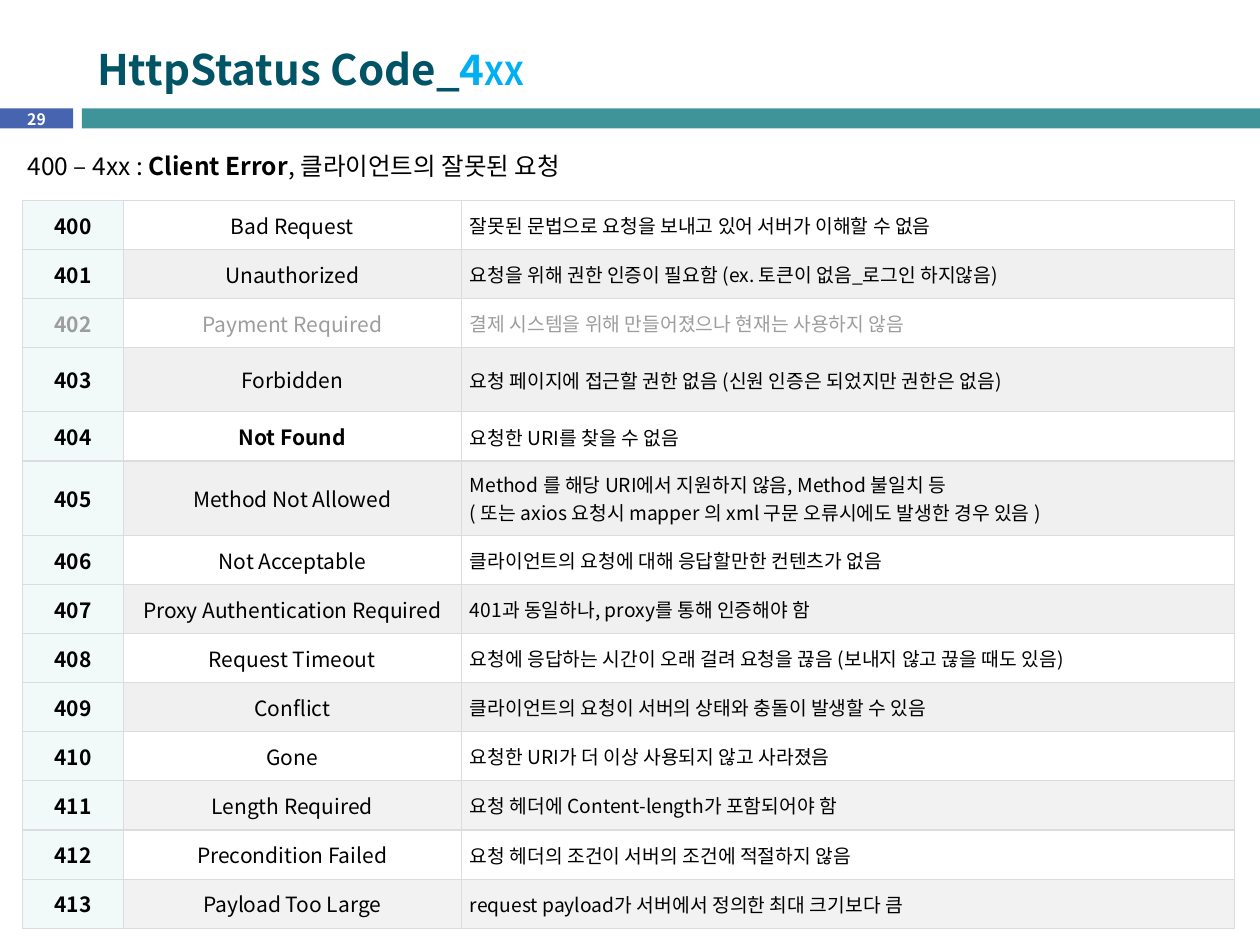
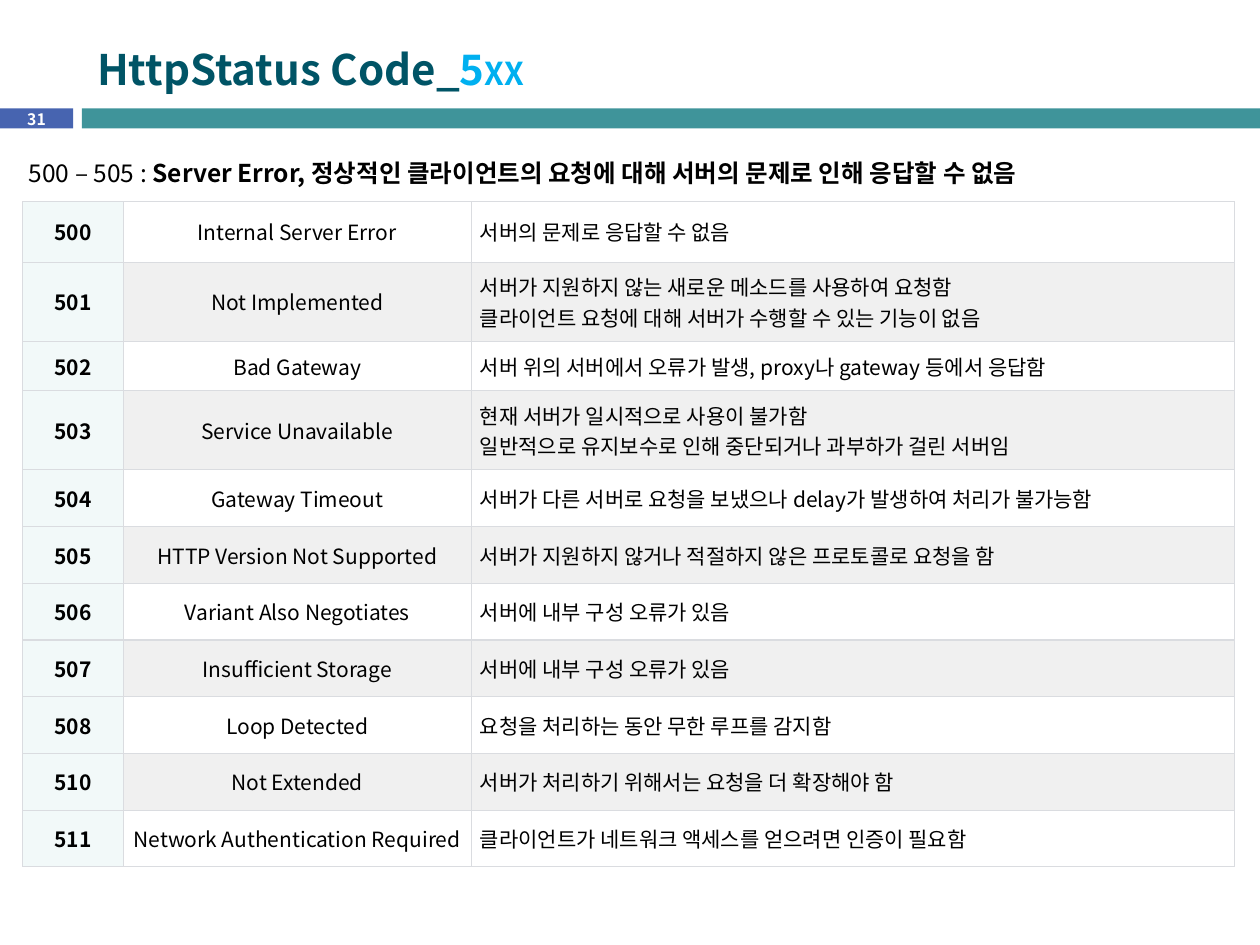
from lxml import etree
from pptx import Presentation
from pptx import util as u
from pptx.dml.color import RGBColor
from pptx.enum import shapes, text
from pptx.oxml import ns

COLORS = {
    "white": "FFFFFF", "ink": "000000", "muted": "9D9D9D",
    "title": "005466", "accent": "00B0F0",
    "number_band": "4764B0", "title_band": "3F949A",
    "code": "D5ECEE", "shade": "F0F0F0", "light_shade": "F2F2F2", "border": "DADCE0",
}
FONT = "Noto Sans CJK KR"
NUMBER_FONT = "Noto Sans CJK JP"
TABLE_LEFT, TABLE_WIDTH, CODE_WIDTH = 0.18, 9.62, 0.8
CELL_MARGIN = 0.07
CODE_OPACITY = 30

SLIDES = [
    {
        "number": "29", "family": "4",
        "summary": [("400 – 4xx : ", False), ("Client Error", True),
                    (", 클라이언트의 잘못된 요청", False)],
        "summary_at": (0.12, 1.15, 8.82, 0.34), "summary_spacing": None,
        "table_top": 1.59, "name_width": 2.68, "meaning_size": 11,
        "row_height": 0.39, "tall_rows": {"403": 0.51, "405": 0.59},
        "muted": {"402"}, "bold_names": {"404"}, "light_rows": {"411", "413"},
        "rows": [
            ("400", "Bad Request", "잘못된 문법으로 요청을 보내고 있어 서버가 이해할 수 없음"),
            ("401", "Unauthorized", "요청을 위해 권한 인증이 필요함 (ex. 토큰이 없음_로그인 하지않음)"),
            ("402", "Payment Required", "결제 시스템을 위해 만들어졌으나 현재는 사용하지 않음"),
            ("403", "Forbidden", "요청 페이지에 접근할 권한 없음 (신원 인증은 되었지만 권한은 없음)"),
            ("404", "Not Found", "요청한 URI를 찾을 수 없음"),
            ("405", "Method Not Allowed",
             "Method 를 해당 URI에서 지원하지 않음, Method 불일치 등\n"
             "( 또는 axios 요청시 mapper 의 xml 구문 오류시에도 발생한 경우 있음 )"),
            ("406", "Not Acceptable", "클라이언트의 요청에 대해 응답할만한 컨텐츠가 없음"),
            ("407", "Proxy Authentication Required", "401과 동일하나, proxy를 통해 인증해야 함"),
            ("408", "Request Timeout",
             "요청에 응답하는 시간이 오래 걸려 요청을 끊음 (보내지 않고 끊을 때도 있음)"),
            ("409", "Conflict", "클라이언트의 요청이 서버의 상태와 충돌이 발생할 수 있음"),
            ("410", "Gone", "요청한 URI가 더 이상 사용되지 않고 사라졌음"),
            ("411", "Length Required", "요청 헤더에 Content-length가 포함되어야 함"),
            ("412", "Precondition Failed", "요청 헤더의 조건이 서버의 조건에 적절하지 않음"),
            ("413", "Payload Too Large", "request payload가 서버에서 정의한 최대 크기보다 큼"),
        ],
    },
    {
        "number": "31", "family": "5",
        "summary": [("500 – 505 : ", False),
                    ("Server Error, 정상적인 클라이언트의 요청에 대해 "
                     "서버의 문제로 인해 응답할 수 없음", True)],
        "summary_at": (0.13, 1.19, 8.86, 0.35), "summary_spacing": 18,
        "table_top": 1.6, "name_width": 2.76, "meaning_size": 12,
        "row_height": 0.45, "tall_rows": {"500": 0.48, "501": 0.63, "502": 0.39, "503": 0.63},
        "muted": set(), "bold_names": set(), "light_rows": set(),
        "rows": [
            ("500", "Internal Server Error", "서버의 문제로 응답할 수 없음"),
            ("501", "Not Implemented",
             "서버가 지원하지 않는 새로운 메소드를 사용하여 요청함\n"
             "클라이언트 요청에 대해 서버가 수행할 수 있는 기능이 없음"),
            ("502", "Bad Gateway", "서버 위의 서버에서 오류가 발생, proxy나 gateway 등에서 응답함"),
            ("503", "Service Unavailable",
             "현재 서버가 일시적으로 사용이 불가함\n"
             "일반적으로 유지보수로 인해 중단되거나 과부하가 걸린 서버임"),
            ("504", "Gateway Timeout", "서버가 다른 서버로 요청을 보냈으나 delay가 발생하여 처리가 불가능함"),
            ("505", "HTTP Version Not Supported", "서버가 지원하지 않거나 적절하지 않은 프로토콜로 요청을 함"),
            ("506", "Variant Also Negotiates", "서버에 내부 구성 오류가 있음"),
            ("507", "Insufficient Storage", "서버에 내부 구성 오류가 있음"),
            ("508", "Loop Detected", "요청을 처리하는 동안 무한 루프를 감지함"),
            ("510", "Not Extended", "서버가 처리하기 위해서는 요청을 더 확장해야 함"),
            ("511", "Network Authentication Required", "클라이언트가 네트워크 액세스를 얻으려면 인증이 필요함"),
        ],
    },
]


def rgb(name):
    return RGBColor.from_string(COLORS[name])


def inches(*lengths):
    return [u.Inches(length) for length in lengths]


def format_run(span, size, color="ink", bold=False, font=FONT):
    span.font.size = u.Pt(size)
    span.font.bold = bold
    span.font.color.rgb = rgb(color)
    span.font.name = font
    east_asian = etree.SubElement(span.font._element, ns.qn("a:ea"))
    east_asian.set("typeface", font)


def add_run(para, words, *style):
    span = para.add_run()
    span.text = words
    format_run(span, *style)


def add_band(slide, left, width, color):
    band = slide.shapes.add_shape(
        shapes.MSO_SHAPE.RECTANGLE, *inches(left, 0.86, width, 0.16))
    band.shadow.inherit = False
    band.fill.solid()
    band.fill.fore_color.rgb = rgb(color)
    band.line.fill.background()


def add_header(slide, number, family):
    add_band(slide, 0, 0.58, "number_band")
    add_band(slide, 0.65, 9.35, "title_band")

    box = slide.shapes.add_textbox(*inches(0, 0.88, 0.58, 0.14))
    frame = box.text_frame
    frame.margin_left = frame.margin_right = frame.margin_top = frame.margin_bottom = 0
    frame.word_wrap = True
    frame.vertical_anchor = text.MSO_ANCHOR.MIDDLE
    para = frame.paragraphs[0]
    para.alignment = text.PP_ALIGN.CENTER
    add_run(para, number, 9, "white", True, NUMBER_FONT)

    title = slide.shapes.title
    title.left, title.top, title.width, title.height = inches(0.67, 0.25, 8.92, 0.59)
    title.text_frame.auto_size = text.MSO_AUTO_SIZE.NONE
    title.text_frame.vertical_anchor = text.MSO_ANCHOR.MIDDLE
    para = title.text_frame.paragraphs[0]
    para.alignment = text.PP_ALIGN.LEFT
    add_run(para, "HttpStatus Code_", 24, "title", True)
    add_run(para, family, 24, "accent", True)
    add_run(para, "XX", 18, "accent", True)


def add_summary(slide, parts, place, spacing):
    box = slide.shapes.add_textbox(*inches(*place))
    box.text_frame.word_wrap = True
    para = box.text_frame.paragraphs[0]
    if spacing:
        para.line_spacing = u.Pt(spacing)
    for words, bold in parts:
        add_run(para, words, 14, "ink", bold)


def add_borders(cell):
    properties = cell._tc.get_or_add_tcPr()
    for side in ("a:lnL", "a:lnR", "a:lnT", "a:lnB"):
        line = etree.SubElement(properties, ns.qn(side), w=str(u.Pt(0.75)))
        fill = etree.SubElement(line, ns.qn("a:solidFill"))
        etree.SubElement(fill, ns.qn("a:srgbClr"), val=COLORS["border"])


def fill_cell(cell, words, size, color, bold, centered, background, opacity=100):
    cell.margin_left = cell.margin_right = u.Inches(CELL_MARGIN)
    cell.margin_top = cell.margin_bottom = u.Inches(CELL_MARGIN)
    cell.vertical_anchor = text.MSO_ANCHOR.MIDDLE
    add_borders(cell)
    cell.fill.solid()
    cell.fill.fore_color.rgb = rgb(background)
    if opacity < 100:
        tint = cell._tc.tcPr.find(ns.qn("a:solidFill"))[0]
        etree.SubElement(tint, ns.qn("a:alpha"), val=str(opacity * 1000))
    para = cell.text_frame.paragraphs[0]
    para.text = words
    para.alignment = text.PP_ALIGN.CENTER if centered else text.PP_ALIGN.LEFT
    for span in para.runs:
        format_run(span, size, color, bold)


def add_status_table(slide, content):
    rows = content["rows"]
    heights = [content["tall_rows"].get(row[0], content["row_height"]) for row in rows]
    widths = [CODE_WIDTH, content["name_width"],
              TABLE_WIDTH - CODE_WIDTH - content["name_width"]]
    table = slide.shapes.add_table(
        len(rows), len(widths),
        *inches(TABLE_LEFT, content["table_top"], TABLE_WIDTH, sum(heights))).table
    table.first_row = table.horz_banding = False
    for column, width in zip(table.columns, widths):
        column.width = u.Inches(width)
    for index, (code, name, meaning) in enumerate(rows):
        table.rows[index].height = u.Inches(heights[index])
        color = "muted" if code in content["muted"] else "ink"
        background = "shade" if index % 2 else "white"
        if code in content["light_rows"]:
            background = "light_shade"
        fill_cell(table.cell(index, 0), code, 12, color, True, True, "code", CODE_OPACITY)
        fill_cell(table.cell(index, 1), name, 12, color,
                  code in content["bold_names"], True, background)
        fill_cell(table.cell(index, 2), meaning, content["meaning_size"], color,
                  False, False, background)


def main():
    deck = Presentation()
    deck.slide_width, deck.slide_height = inches(10, 7.5)
    title_only = deck.slide_layouts[5]
    for content in SLIDES:
        slide = deck.slides.add_slide(title_only)
        add_header(slide, content["number"], content["family"])
        add_summary(slide, content["summary"], content["summary_at"],
                    content["summary_spacing"])
        add_status_table(slide, content)
    deck.save("out.pptx")


if __name__ == "__main__":
    main()
